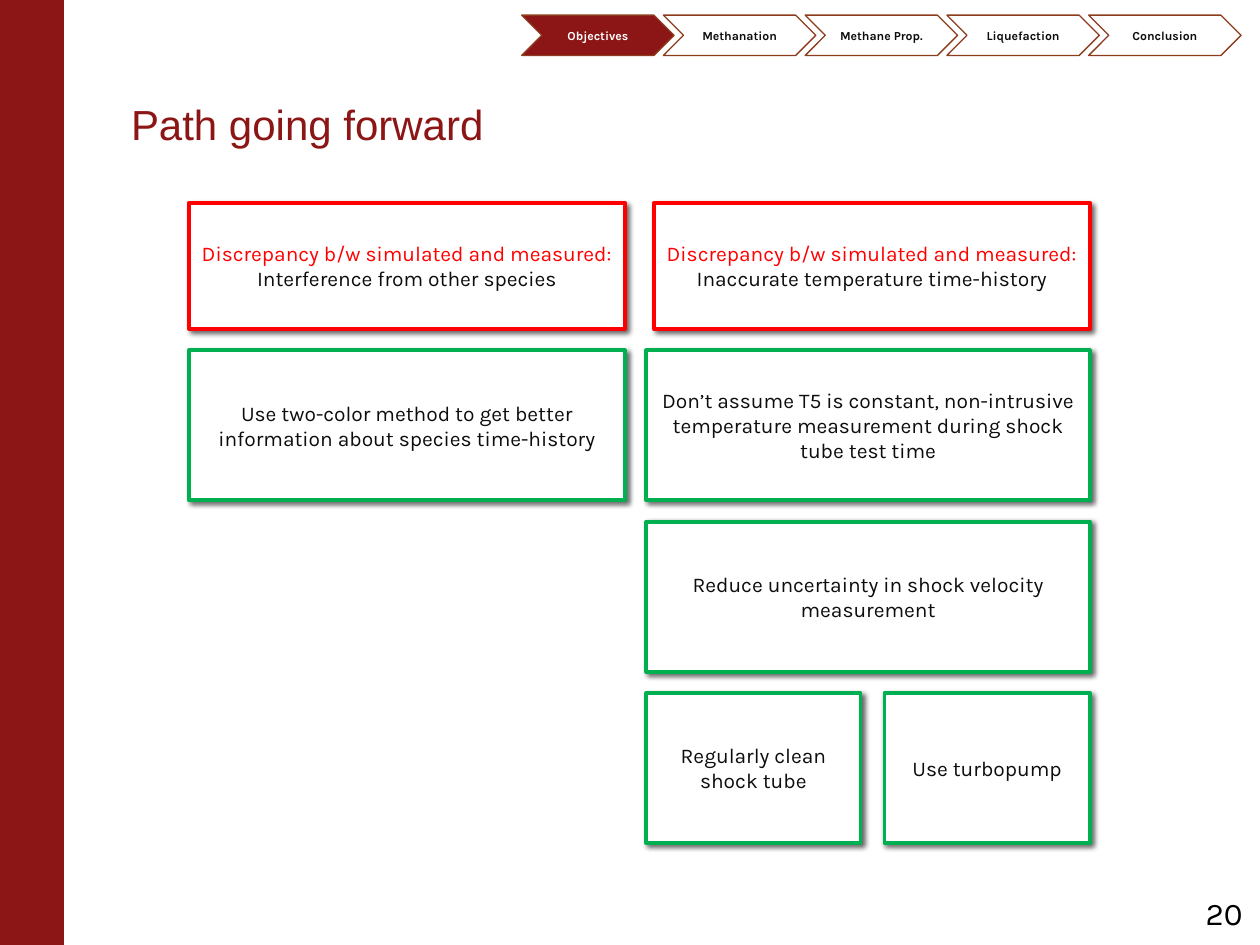
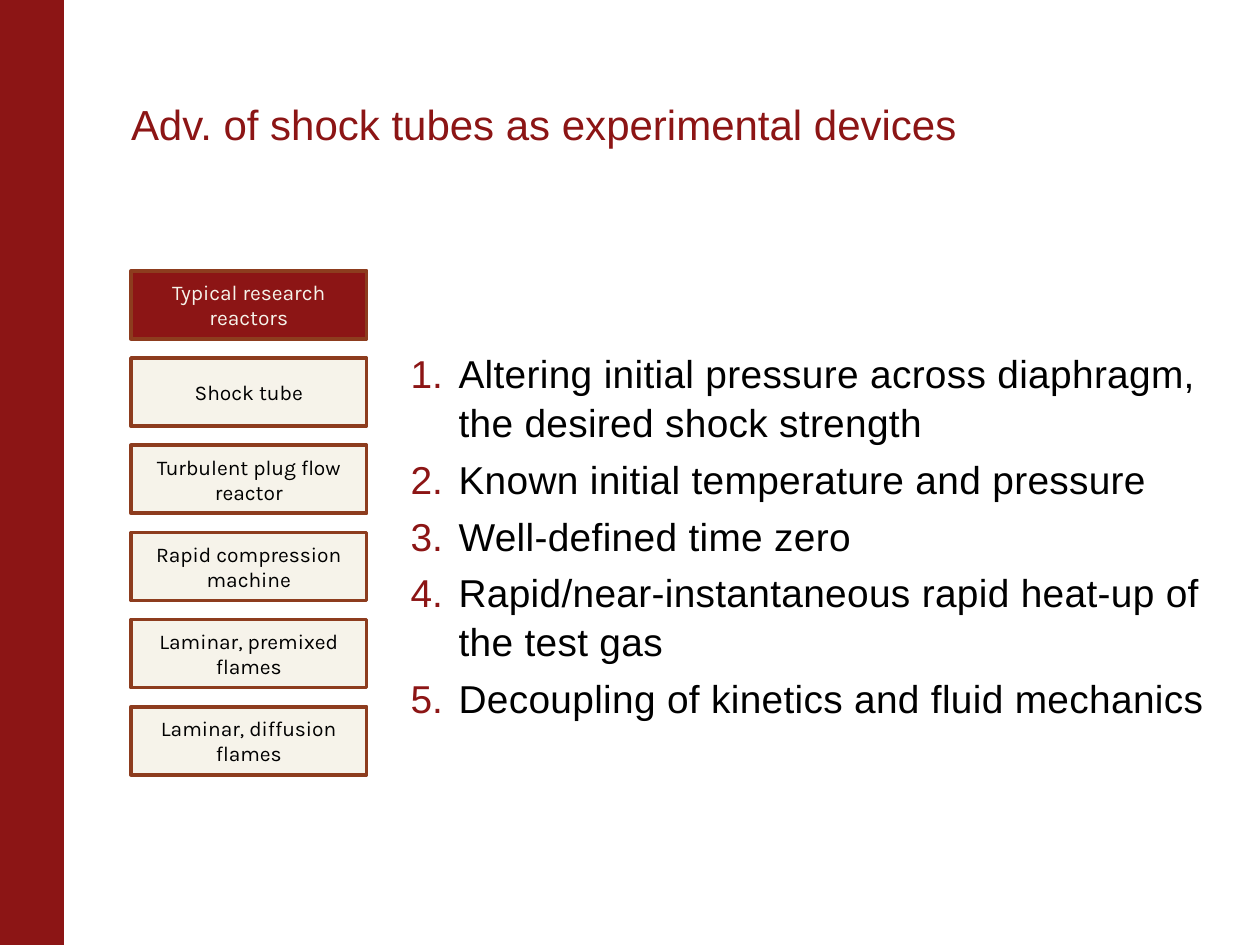
from dataclasses import dataclass

from lxml.etree import SubElement
from pptx import Presentation
from pptx.dml.color import RGBColor
from pptx.enum.shapes import MSO_SHAPE
from pptx.enum.text import MSO_ANCHOR, PP_ALIGN
from pptx.oxml.ns import qn
from pptx.util import Emu, Inches, Pt

# Shared look
CARDINAL, BROWN, CREAM = "8C1515", "8D3C1E", "F6F3EA"
RED, GREEN = "FF0000", "00B050"
BLACK, INK, WHITE = "000000", "0D0D0D", "FFFFFF"
HEADING_FONT, LABEL_FONT = "Arial", "Karla"

# The slide is a grid of 100 columns by 75 rows
COLUMNS, ROWS = 100, 75
CELL = Inches(10) / COLUMNS


@dataclass
class Box:
    col: float
    row: float
    cols: float
    rows: float

    def inner(self, col, row, cols, rows):
        return Box(self.col + col, self.row + row, cols, rows)

    def emu(self):
        return [Emu(round(n * CELL)) for n in (self.col, self.row, self.cols, self.rows)]


SLIDE = Box(0, 0, COLUMNS, ROWS)
BAND = SLIDE.inner(0, 0, 5, ROWS)
TITLE = SLIDE.inner(10.4, 5.2, 84.3, 7.1)


def colour(hex_string):
    return RGBColor.from_string(hex_string)


def style(paragraph, size, font, hex_string, bold=False):
    for run in paragraph.runs:
        run.font.size = Pt(size)
        run.font.name = font
        run.font.bold = bold
        run.font.color.rgb = colour(hex_string)


def add_panel(slide, box, preset, fill, line, width):
    panel = slide.shapes.add_shape(preset, *box.emu())
    panel.shadow.inherit = False
    panel.fill.solid()
    panel.fill.fore_color.rgb = colour(fill)
    panel.line.color.rgb = colour(line)
    panel.line.width = Pt(width)
    return panel


def write_label(panel, lines, size=12, bold=False):
    """Centre (text, colour) lines in a panel."""
    frame = panel.text_frame
    frame.word_wrap = True
    frame.vertical_anchor = MSO_ANCHOR.MIDDLE
    frame.text = "\n".join(text for text, _ in lines)
    for paragraph, (_, ink) in zip(frame.paragraphs, lines):
        paragraph.alignment = PP_ALIGN.CENTER
        style(paragraph, size, LABEL_FONT, ink, bold)


def add_words(slide, box, text, left=0.0, right=0.1):
    frame = slide.shapes.add_textbox(*box.emu()).text_frame
    frame.word_wrap = True
    frame.margin_left, frame.margin_right = Inches(left), Inches(right)
    frame.text = text
    return frame


def cast_shadow(panel):
    effects = panel.element.spPr.find(qn("a:effectLst"))
    shadow = SubElement(effects, qn("a:outerShdw"), blurRad=str(Pt(3)),
                        dist=str(Pt(2)), dir=str(45 * 60000), rotWithShape="0")
    tint = SubElement(shadow, qn("a:srgbClr"), val=BLACK)
    SubElement(tint, qn("a:alpha"), val="60000")


def start_slide(deck, title):
    """Blank slide with the side band and the title."""
    slide = deck.slides.add_slide(deck.slide_layouts[6])
    add_panel(slide, BAND, MSO_SHAPE.RECTANGLE, CARDINAL, CARDINAL, 0.75)
    heading = add_words(slide, TITLE, title)
    heading.vertical_anchor = MSO_ANCHOR.BOTTOM
    heading.paragraphs[0].line_spacing = 0.85
    style(heading.paragraphs[0], 24, HEADING_FONT, CARDINAL)
    return slide


def add_section_tracker(slide, box, sections, current):
    """Row of overlapping chevrons with the current section filled."""
    width = 12.1
    step = (box.cols - width) / (len(sections) - 1)
    for i, section in enumerate(sections):
        fill, ink = (CARDINAL, WHITE) if section == current else (WHITE, INK)
        chevron = add_panel(slide, box.inner(i * step, 0, width, box.rows),
                            MSO_SHAPE.CHEVRON, fill, BROWN, 0.75)
        write_label(chevron, [(section, ink)], 7, bold=True)


def add_card(slide, box, line, lines):
    card = add_panel(slide, box, MSO_SHAPE.RECTANGLE, WHITE, line, 2.25)
    cast_shadow(card)
    write_label(card, lines)


def add_remedies(slide, box):
    """Two problems on top, their remedies in rows below."""
    left_cols, right_col, right_cols = 34.6, 36.3, 35.2
    problem_rows, remedy_rows, gap = 10, 11.9, 1.7
    problems = [(0, "Interference from other species"),
                (box.cols - left_cols, "Inaccurate temperature time-history")]
    for col, cause in problems:
        add_card(slide, box.inner(col, 0, left_cols, problem_rows), RED,
                 [("Discrepancy b/w simulated and measured:", RED), (cause, INK)])

    remedies = [
        (0, 0, left_cols,
         "Use two-color method to get better information about species time-history"),
        (0, right_col, right_cols,
         "Don’t assume T5 is constant, non-intrusive temperature measurement "
         "during shock tube test time"),
        (1, right_col, right_cols, "Reduce uncertainty in shock velocity measurement"),
        (2, right_col, 17, "Regularly clean shock tube"),
        (2, box.cols - 16.3, 16.3, "Use turbopump"),
    ]
    for level, col, cols, remedy in remedies:
        row = problem_rows + gap + level * (remedy_rows + gap)
        add_card(slide, box.inner(col, row, cols, remedy_rows), GREEN, [(remedy, INK)])


def add_page_number(slide, box, number):
    frame = add_words(slide, box, str(number), left=0.1)
    style(frame.paragraphs[0], 18, LABEL_FONT, BLACK)


def add_reactor_list(slide, box, heading, reactors):
    """Equal stacked boxes under a filled heading box."""
    rows = 5.4
    labels = [heading, *reactors]
    step = (box.rows - rows) / (len(labels) - 1)
    for i, label in enumerate(labels):
        fill, ink = (CREAM, BLACK) if i else (CARDINAL, CREAM)
        panel = add_panel(slide, box.inner(0, i * step, box.cols, rows),
                          MSO_SHAPE.RECTANGLE, fill, BROWN, 2.08)
        write_label(panel, [(label, ink)])


def add_numbered_list(slide, box, points):
    size, indent = 22.2, str(Inches(0.38))
    frame = add_words(slide, box, "\n".join(points), right=0)
    for i, paragraph in enumerate(frame.paragraphs):
        # Coloured automatic numbers with a hanging indent
        properties = paragraph._p.get_or_add_pPr()
        properties.set("marL", indent)
        properties.set("indent", "-" + indent)
        number_colour = SubElement(properties, qn("a:buClr"))
        SubElement(number_colour, qn("a:srgbClr"), val=CARDINAL)
        SubElement(properties, qn("a:buFont"), typeface="+mj-lt")
        SubElement(properties, qn("a:buAutoNum"), type="arabicPeriod")
        paragraph.line_spacing = 1.05
        paragraph.space_before = Pt(0.2 * size if i else 0)
        style(paragraph, size, HEADING_FONT, BLACK)
        for run in paragraph.runs:
            run._r.get_or_add_rPr().set("spc", "20")


def build_path_slide(deck):
    slide = start_slide(deck, "Path going forward")
    add_remedies(slide, SLIDE.inner(15, 16.1, 71.5, 50.8))
    add_page_number(slide, SLIDE.inner(94.7, 70.5, 5.3, 4), 20)
    add_section_tracker(
        slide, SLIDE.inner(41.4, 1.2, 57.1, 3.2),
        ["Objectives", "Methanation", "Methane Prop.", "Liquefaction", "Conclusion"],
        current="Objectives")


def build_advantages_slide(deck):
    slide = start_slide(deck, "Adv. of shock tubes as experimental devices")
    add_numbered_list(slide, SLIDE.inner(32.6, 27.1, 63.7, 27.4), [
        "Altering initial pressure across diaphragm, the desired shock strength",
        "Known initial temperature and pressure",
        "Well-defined time zero",
        "Rapid/near-instantaneous rapid heat-up of the test gas",
        "Decoupling of kinetics and fluid mechanics",
    ])
    add_reactor_list(slide, SLIDE.inner(10.4, 21.5, 18.7, 40), "Typical research reactors", [
        "Shock tube",
        "Turbulent plug flow reactor",
        "Rapid compression machine",
        "Laminar, premixed flames",
        "Laminar, diffusion flames",
    ])


def main():
    deck = Presentation()
    deck.slide_width, deck.slide_height = Inches(10), Inches(7.5)
    build_path_slide(deck)
    build_advantages_slide(deck)
    deck.save("out.pptx")


if __name__ == "__main__":
    main()
